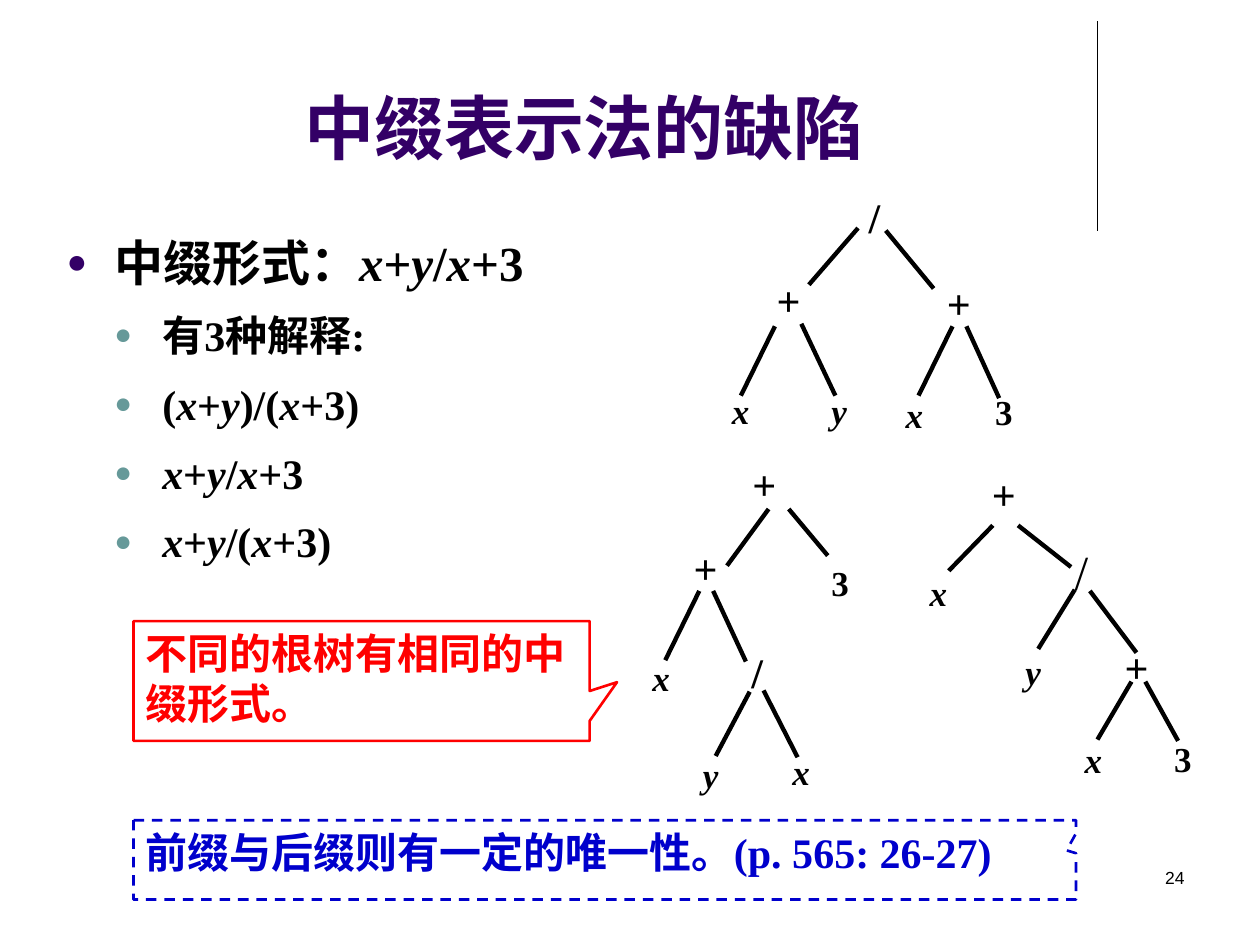
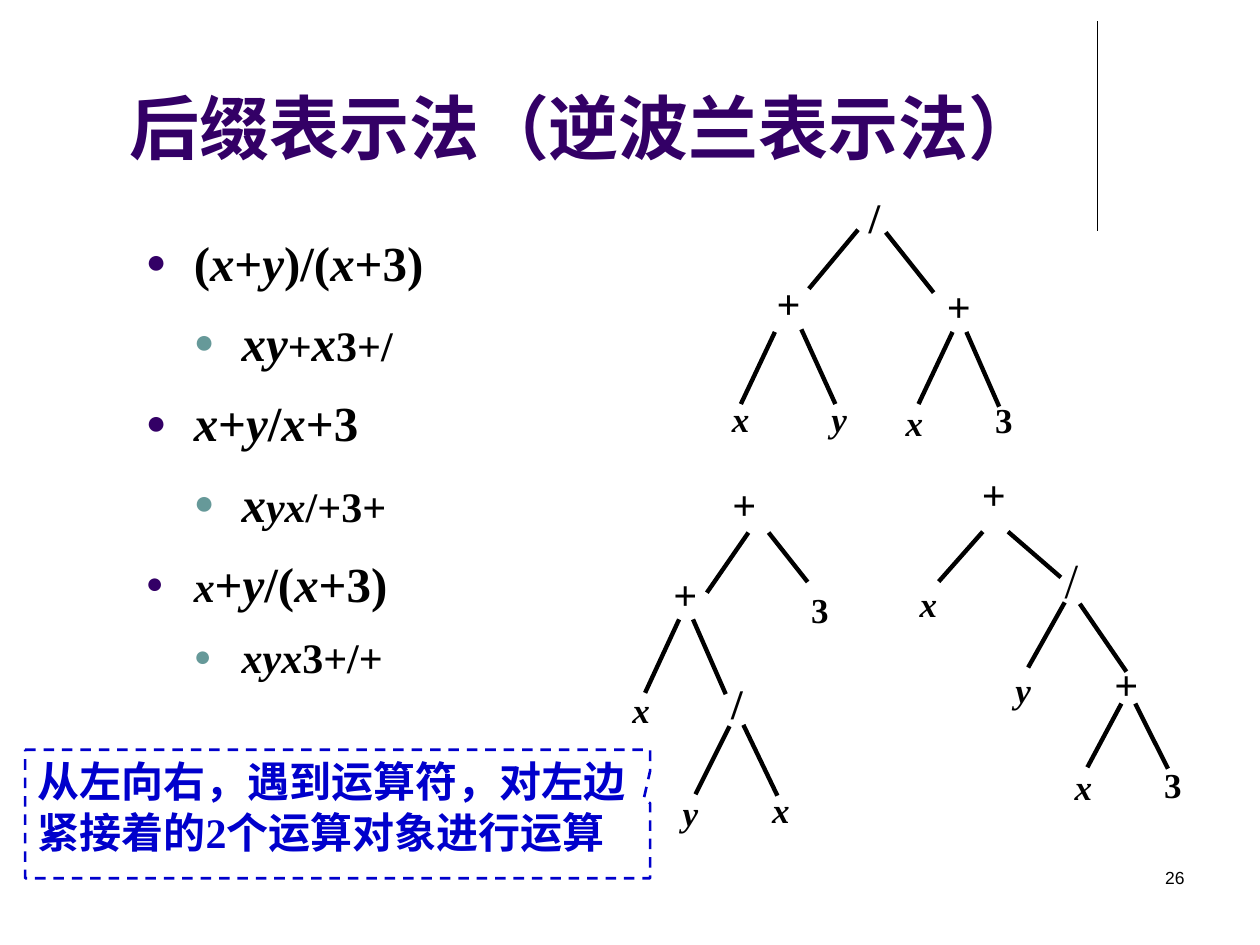
from itertools import groupby

from lxml import etree
from pptx import Presentation
from pptx import util as u
from pptx.dml.color import RGBColor
from pptx.enum import dml, shapes, text
from pptx.oxml.ns import qn

COLUMNS, ROWS = 100, 75
COLORS = {"title": "330066", "ink": "000000", "sub_bullet": "669999",
          "warning": "FF0000", "note": "0000CC"}
SERIF, SANS = "Times New Roman", "Arial"
ALIGN = text.PP_ALIGN

NODE_KINDS = {
    "leaf": dict(width=4, size=20, bold=True, align=ALIGN.JUSTIFY),
    "operator": dict(width=4, size=24, bold=True, align=ALIGN.CENTER),
    "root": dict(width=5.5, size=24, bold=True, align=ALIGN.RIGHT),
    "slash": dict(width=5.5, size=28, bold=False, align=ALIGN.JUSTIFY),
}

QUOTIENT_OF_SUMS = {
    "nodes": [("/", "operator", 10.4, 0), ("+", "operator", 3.6, 6.6),
              ("+", "operator", 17.1, 6.8), ("x", "leaf", 0.1, 15.7),
              ("y", "leaf", 8, 15.7), ("x", "leaf", 13.9, 16), ("3", "leaf", 21, 15.8)],
    "edges": [(11.1, 3.4, 7.2, 7.9), (13.3, 3.6, 17.1, 8.2), (4.5, 11.2, 1.8, 16.7),
              (6.6, 11, 9.3, 16.7), (18.6, 11.2, 15.9, 16.7), (19.7, 11.2, 22.3, 16.9)],
}
LEFT_NESTED = {
    "nodes": [("+", "root", 6.3, 0), ("+", "operator", 3.2, 6.7), ("3", "leaf", 14.2, 8.2),
              ("x", "leaf", 0, 15.7), ("/", "operator", 7.3, 14.9),
              ("y", "leaf", 4, 23.4), ("x", "leaf", 11.1, 23.2)],
    "edges": [(10.2, 4.5, 6.9, 9), (11.8, 4.5, 14.9, 8.2), (4.7, 11, 2, 16.5),
              (5.8, 11, 8.4, 16.6), (8.7, 19, 6, 24.1), (9.8, 18.9, 12.5, 24.2)],
}
RIGHT_NESTED = {
    "nodes": [("+", "root", 3.3, 0), ("x", "leaf", 0, 8.2), ("/", "slash", 11.5, 5.8),
              ("y", "leaf", 7.6, 14.4), ("+", "operator", 15.4, 13.7),
              ("x", "leaf", 12.3, 21.4), ("3", "leaf", 19.4, 21.3)],
    "edges": [(6, 5, 2.5, 8.6), (8, 5, 12.2, 8.3), (12.5, 10.1, 9.6, 14.8),
              (13.7, 10.2, 17.4, 15.1), (17, 17.4, 14.3, 22), (18.1, 17.4, 20.7, 22.1)],
}


class Deck:
    def __init__(self):
        self.presentation = Presentation()
        self.presentation.slide_width = u.Inches(10)
        self.presentation.slide_height = u.Inches(7.5)
        self.slide = None

    def x(self, columns):
        return round(self.presentation.slide_width * columns / COLUMNS)

    def y(self, rows):
        return round(self.presentation.slide_height * rows / ROWS)

    def box(self, left, top, width, height):
        return self.x(left), self.y(top), self.x(width), self.y(height)

    def style(self, paragraph, size, color="ink", font=SERIF, bold=True, align=None):
        paragraph.alignment = align
        paragraph.font.size = u.Pt(size)
        paragraph.font.name = font
        paragraph.font.bold = bold
        paragraph.font.color.rgb = RGBColor.from_string(COLORS[color])

    def start(self, title, number):
        layout = self.presentation.slide_layouts[5]
        self.slide = self.presentation.slides.add_slide(layout)
        self.line(self.slide.shapes, (87.1, 1.7, 87.1, 18.3), 0.75)
        heading = self.slide.shapes.title
        heading.left, heading.top, heading.width, heading.height = self.box(5.1, 4.4, 82.5, 9.5)
        frame = heading.text_frame
        frame.text = title
        frame.auto_size = text.MSO_AUTO_SIZE.NONE
        frame.vertical_anchor = text.MSO_ANCHOR.BOTTOM
        frame.paragraphs[0].line_spacing = 1.2
        self.style(frame.paragraphs[0], 40, "title", align=ALIGN.CENTER)
        self.label(self.slide.shapes, str(number), (71.7, 68.3, 23.3, 5),
                   size=10, font=SANS, bold=False, align=ALIGN.RIGHT)

    def line(self, parent, ends, weight):
        x1, y1, x2, y2 = ends
        connector = parent.add_connector(shapes.MSO_CONNECTOR.STRAIGHT,
                                         self.x(x1), self.y(y1), self.x(x2), self.y(y2))
        connector.line.color.rgb = RGBColor.from_string(COLORS["ink"])
        connector.line.width = u.Pt(weight)
        etree.SubElement(connector._element.spPr, qn("a:effectLst"))

    def label(self, parent, words, area, **style):
        frame = parent.add_textbox(*self.box(*area)).text_frame
        frame.word_wrap = True
        paragraph = frame.paragraphs[0]
        self.style(paragraph, **style)
        self.add_words(paragraph, words)

    def add_words(self, paragraph, words, size=None):
        for is_variable, letters in groupby(words, key=lambda letter: letter in "xy"):
            run = paragraph.add_run()
            run.text = "".join(letters)
            if is_variable:
                run.font.italic = True
            if size:
                run.font.size = u.Pt(size)

    def bullet(self, paragraph, level):
        paragraph.level = level
        paragraph.line_spacing = 1.2
        properties = paragraph._p.get_or_add_pPr()
        properties.set("marL", str(self.x(3.8 * (level + 1))))
        properties.set("indent", str(-self.x(3.8)))

        def add(parent, tag, **attributes):
            return etree.SubElement(parent, qn(tag), attributes)

        add(add(properties, "a:spcBef"), "a:spcPct", val="20000")
        add(add(properties, "a:buClr"), "a:srgbClr", val=COLORS[("title", "sub_bullet")[level]])
        add(properties, "a:buSzPct", val="70000")
        add(properties, "a:buFont", typeface=SANS)
        add(properties, "a:buChar", char="●")

    def outline(self, area, items):
        frame = self.slide.shapes.add_textbox(*self.box(*area)).text_frame
        frame.word_wrap = True
        for index, (level, pieces) in enumerate(items):
            paragraph = frame.add_paragraph() if index else frame.paragraphs[0]
            self.bullet(paragraph, level)
            self.style(paragraph, pieces[0][0], align=ALIGN.JUSTIFY)
            for size, words in pieces:
                self.add_words(paragraph, words, size if len(pieces) > 1 else None)

    def tree(self, plan, left, top, stretch=1):
        group = self.slide.shapes.add_group_shape().shapes
        for x1, y1, x2, y2 in plan["edges"]:
            self.line(group, (left + x1, top + y1 * stretch,
                              left + x2, top + y2 * stretch), 2.5)
        for symbol, kind, across, down in plan["nodes"]:
            style = dict(NODE_KINDS[kind])
            area = (left + across, top + down * stretch, style.pop("width"), 3.8)
            self.label(group, symbol, area, **style)

    def callout(self, words, area, pointer, color, font=SERIF, dashed=False):
        bubble = self.slide.shapes.add_shape(shapes.MSO_SHAPE.RECTANGULAR_CALLOUT,
                                             *self.box(*area))
        bubble.adjustments[0], bubble.adjustments[1] = pointer
        bubble.shadow.inherit = False
        bubble.fill.background()
        bubble.line.color.rgb = RGBColor.from_string(COLORS[color])
        bubble.line.width = u.Pt(1.5)
        if dashed:
            bubble.line.dash_style = dml.MSO_LINE.DASH
        frame = bubble.text_frame
        frame.word_wrap = True
        frame.vertical_anchor = text.MSO_ANCHOR.TOP
        self.style(frame.paragraphs[0], 24, color, font, align=ALIGN.LEFT)
        self.add_words(frame.paragraphs[0], words)


def infix_slide(deck):
    deck.start("中缀表示法的缺陷", 24)
    readings = ["有3种解释:", "(x+y)/(x+3)", "x+y/x+3", "x+y/(x+3)"]
    deck.outline((4.3, 17, 43.3, 30.7),
                 [(0, [(28, "中缀形式：x+y/x+3")])]
                 + [(1, [(24, reading)]) for reading in readings])
    deck.tree(QUOTIENT_OF_SUMS, 57, 14.7)
    deck.tree(LEFT_NESTED, 50.8, 35.9)
    deck.tree(RIGHT_NESTED, 72.8, 36.7)
    deck.callout("不同的根树有相同的中缀形式。", (10.6, 49.3, 36.2, 9.5),
                 (0.56, 0.01), "warning", SANS)
    deck.callout("前缀与后缀则有一定的唯一性。(p. 565: 26-27)", (10.6, 65.1, 74.8, 6.3),
                 (0.49, -0.12), "note", dashed=True)


def postfix_slide(deck):
    deck.start("后缀表示法（逆波兰表示法）", 26)
    deck.outline((10.6, 17, 37, 40.9), [
        (0, [(28, "(x+y)/(x+3)")]),
        (1, [(28, "xy"), (24, "+"), (28, "x"), (24, "3+/")]),
        (0, [(28, "x+y/x+3")]),
        (1, [(28, "x"), (24, "yx/+3+")]),
        (0, [(24, "x"), (28, "+y/(x+3)")]),
        (1, [(24, "xyx3+/+")]),
    ])
    deck.tree(QUOTIENT_OF_SUMS, 57, 14.7, 1.04)
    deck.tree(LEFT_NESTED, 49.2, 37.5, 1.06)
    deck.tree(RIGHT_NESTED, 72, 36.7, 1.1)
    deck.callout("从左向右，遇到运算符，对左边紧接着的2个运算对象进行运算",
                 (2, 59.5, 49.6, 10.2), (0.49, -0.12), "note", dashed=True)


def main():
    deck = Deck()
    infix_slide(deck)
    postfix_slide(deck)
    deck.presentation.save("out.pptx")


if __name__ == "__main__":
    main()
